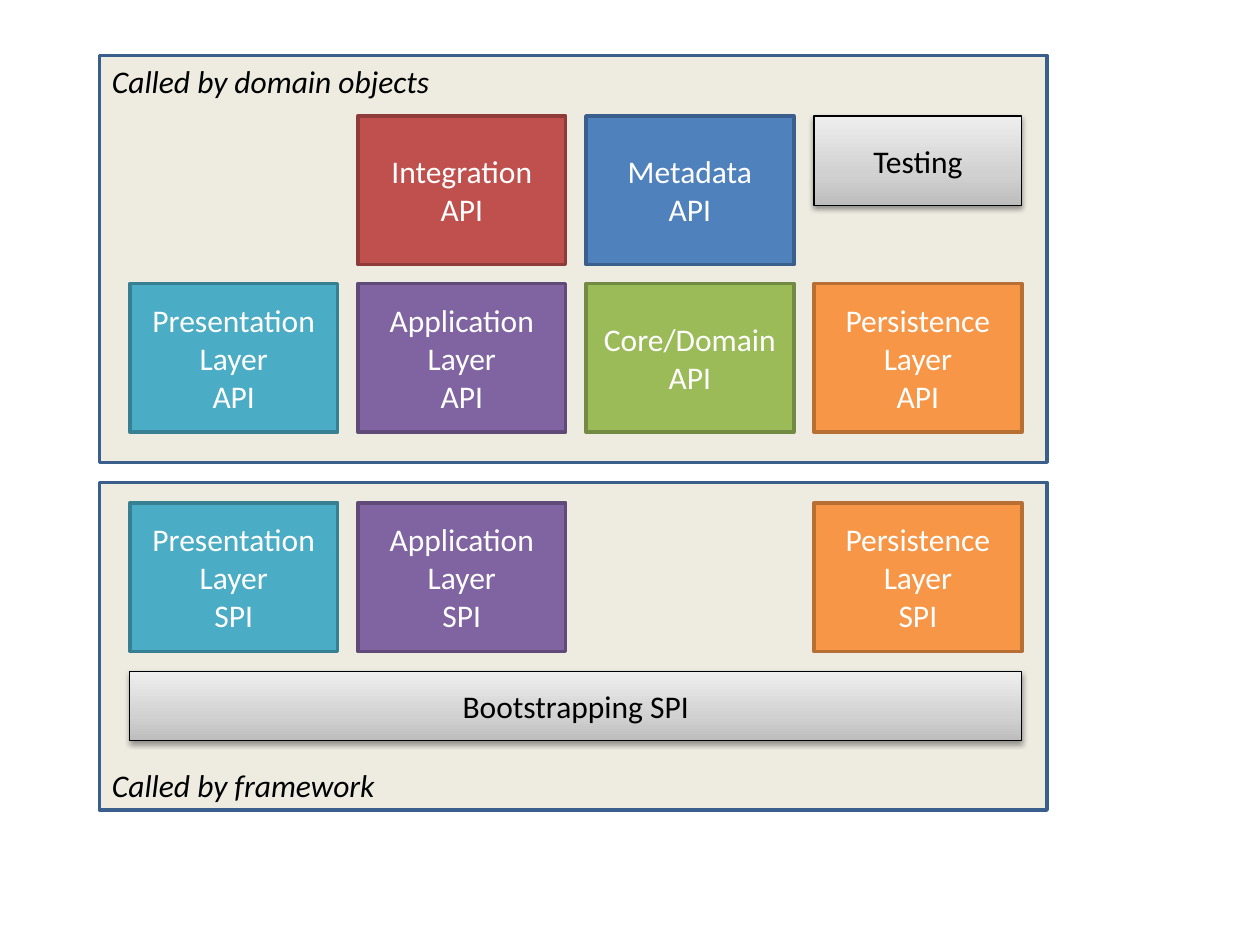
from lxml.etree import SubElement
from pptx import Presentation
from pptx.dml.color import RGBColor
from pptx.enum.shapes import MSO_SHAPE
from pptx.enum.text import MSO_ANCHOR, PP_ALIGN
from pptx.oxml.ns import qn
from pptx.util import Inches, Pt

BLACK = RGBColor(0x00, 0x00, 0x00)
WHITE = RGBColor(0xFF, 0xFF, 0xFF)
CREAM = RGBColor(0xEE, 0xEC, 0xE1)
BLUE = RGBColor(0x4F, 0x81, 0xBD)
BLUE_EDGE = RGBColor(0x3A, 0x5F, 0x8C)
RED = RGBColor(0xC0, 0x50, 0x4D)
RED_EDGE = RGBColor(0x8E, 0x3B, 0x39)
GREEN = RGBColor(0x9B, 0xBB, 0x59)
GREEN_EDGE = RGBColor(0x73, 0x8A, 0x42)
PURPLE = RGBColor(0x80, 0x64, 0xA2)
PURPLE_EDGE = RGBColor(0x5F, 0x4A, 0x78)
TEAL = RGBColor(0x4B, 0xAC, 0xC6)
TEAL_EDGE = RGBColor(0x37, 0x7F, 0x92)
ORANGE = RGBColor(0xF7, 0x96, 0x46)
ORANGE_EDGE = RGBColor(0xB7, 0x6F, 0x34)
GREY_STOPS = [
    (0, RGBColor(0xBD, 0xBD, 0xBD)),
    (35, RGBColor(0xD1, 0xD1, 0xD1)),
    (100, RGBColor(0xEE, 0xEE, 0xEE)),
]

GRID_LEFT, COLUMN_PITCH = 1.03, 1.81
BOX_WIDTH, BOX_HEIGHT = 1.65, 1.18
TOP_ROW, API_ROW, SPI_ROW = 0.92, 2.25, 3.99

BOXES = [
    ("Integration\vAPI", 1, TOP_ROW, RED, RED_EDGE),
    ("Metadata\vAPI", 2, TOP_ROW, BLUE, BLUE_EDGE),
    ("Core/Domain\nAPI", 2, API_ROW, GREEN, GREEN_EDGE),
]
LAYERS = [
    ("Presentation\vLayer", 0, TEAL, TEAL_EDGE),
    ("Application\vLayer", 1, PURPLE, PURPLE_EDGE),
    ("Persistence\vLayer", 3, ORANGE, ORANGE_EDGE),
]


def column_left(column):
    return GRID_LEFT + column * COLUMN_PITCH


def add_box(page, text, left, top, width, height, edge, edge_width, color,
            anchor=MSO_ANCHOR.MIDDLE, align=PP_ALIGN.CENTER, italic=False):
    box = page.shapes.add_shape(MSO_SHAPE.RECTANGLE, Inches(left), Inches(top),
                                Inches(width), Inches(height))
    box.shadow.inherit = False
    box.line.color.rgb = edge
    box.line.width = Pt(edge_width)
    frame = box.text_frame
    frame.word_wrap = True
    frame.vertical_anchor = anchor
    frame.text = text
    for para in frame.paragraphs:
        para.alignment = align
        para.font.name = "Calibri"
        para.font.size = Pt(18)
        para.font.italic = italic
        para.font.color.rgb = color
    return box


def add_panel(page, text, top, height, anchor):
    panel = add_box(page, text, 0.79, top, 7.52, height, BLUE_EDGE, 2, BLACK,
                    anchor, PP_ALIGN.LEFT, True)
    panel.fill.solid()
    panel.fill.fore_color.rgb = CREAM


def add_api_box(page, text, column, top, fill, edge):
    box = add_box(page, text, column_left(column), top, BOX_WIDTH, BOX_HEIGHT,
                  edge, 2, WHITE)
    box.fill.solid()
    box.fill.fore_color.rgb = fill


def add_grey_box(page, text, column, top, width, height):
    box = add_box(page, text, column_left(column), top, width, height,
                  BLACK, 0.75, BLACK)
    box.fill.gradient()
    box.fill.gradient_angle = 90
    properties = box.element.spPr
    stops = properties.find(".//" + qn("a:gsLst"))
    for stop in list(stops):
        stops.remove(stop)
    for position, color in GREY_STOPS:
        stop = SubElement(stops, qn("a:gs"), pos=str(position * 1000))
        SubElement(stop, qn("a:srgbClr"), val=str(color))
    shadow = SubElement(properties.find(qn("a:effectLst")), qn("a:outerShdw"),
                        blurRad=str(Pt(3.1)), dist=str(Pt(1.6)),
                        dir="5400000", rotWithShape="0")
    shade = SubElement(shadow, qn("a:srgbClr"), val=str(BLACK))
    SubElement(shade, qn("a:alpha"), val="38000")


def main():
    deck = Presentation()
    deck.slide_width, deck.slide_height = Inches(10), Inches(7.5)
    page = deck.slides.add_slide(deck.slide_layouts[6])

    add_panel(page, "Called by framework", 3.83, 2.6, MSO_ANCHOR.BOTTOM)
    add_panel(page, "Called by domain objects", 0.44, 3.23, MSO_ANCHOR.TOP)
    for box in BOXES:
        add_api_box(page, *box)
    for name, column, fill, edge in LAYERS:
        for kind, top in (("API", API_ROW), ("SPI", SPI_ROW)):
            add_api_box(page, f"{name}\n{kind}", column, top, fill, edge)
    add_grey_box(page, "Testing", 3, TOP_ROW, BOX_WIDTH, 0.71)
    add_grey_box(page, "Bootstrapping SPI", 0, 5.33,
                 3 * COLUMN_PITCH + BOX_WIDTH, 0.55)

    deck.save("out.pptx")


main()
